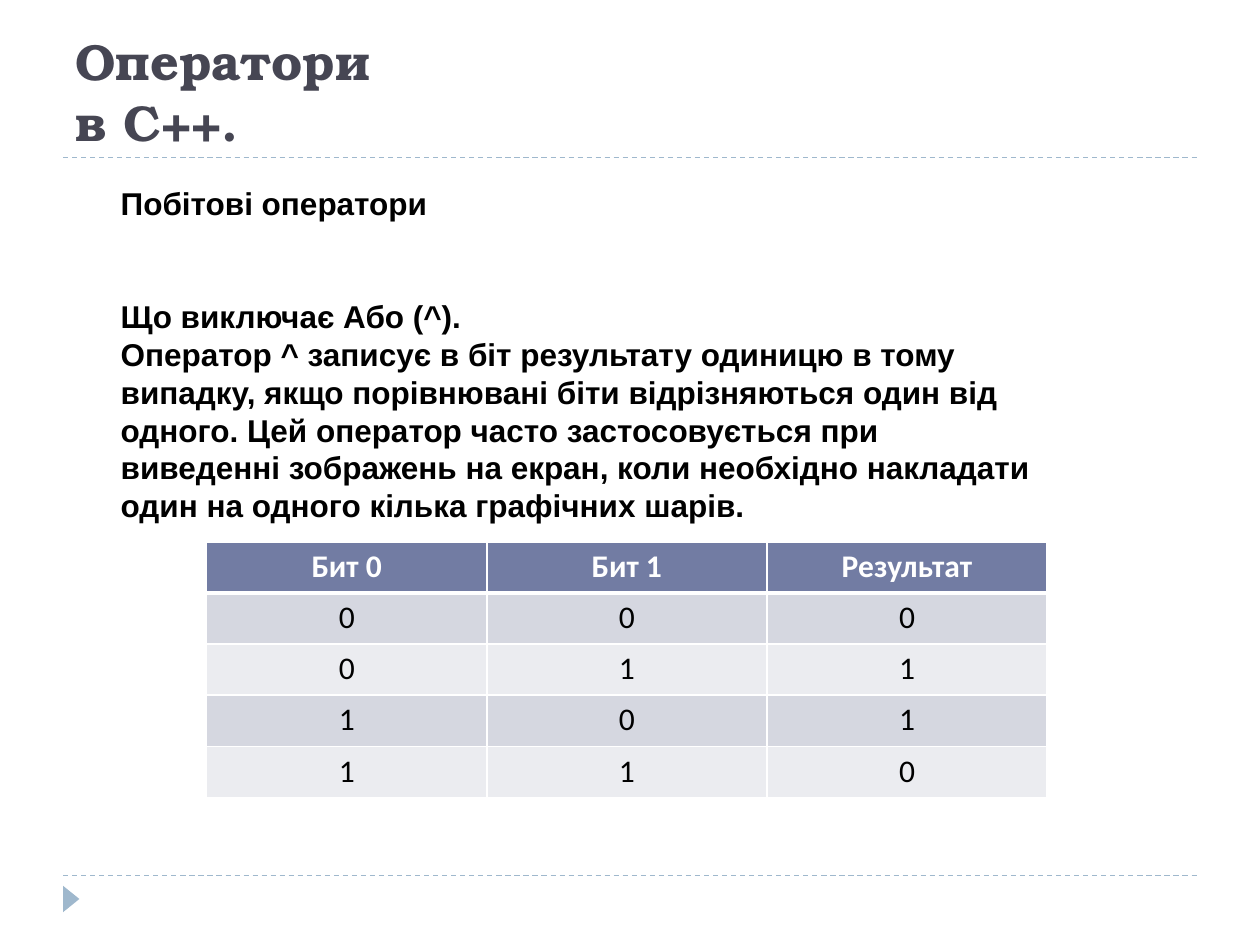
from lxml.etree import SubElement
from pptx import Presentation
from pptx.dml.color import RGBColor
from pptx.enum.dml import MSO_LINE
from pptx.enum.shapes import MSO_CONNECTOR, MSO_SHAPE
from pptx.enum.text import MSO_ANCHOR, MSO_AUTO_SIZE, PP_ALIGN
from pptx.oxml.ns import qn
from pptx.util import Inches, Pt


def color(value):
    """Turn a hex string into a colour."""
    return RGBColor.from_string(value)


def assign(target, values):
    """Set the attributes of an object from a dict."""
    for name, value in values.items():
        setattr(target, name, value)


class SlideBuilder:
    """Hold the style and the current slide."""

    accent = "9FB8CD"
    header_fill = "727CA3"
    bands = ("D5D7E0", "EBECF0")

    def __init__(self, deck):
        """Start a slide with a title."""
        self.slide = deck.slides.add_slide(deck.slide_layouts[5])
        self.shapes = self.slide.shapes

    def place(self, shape, left, top, width, height):
        """Move and size a shape."""
        assign(shape, {"left": Inches(left), "top": Inches(top),
                       "width": Inches(width), "height": Inches(height)})

    def fill_para(self, para, text, font, size, hue, bold=True, **layout):
        """Fill a paragraph with formatted text."""
        para.text = text
        assign(para, layout)
        for span in para.runs:
            assign(span.font, {"name": font, "size": Pt(size), "bold": bold})
            span.font.color.rgb = color(hue)

    def title(self, text, *area):
        """Format the title placeholder."""
        box = self.shapes.title
        self.place(box, *area)
        assign(box.text_frame, {"vertical_anchor": MSO_ANCHOR.BOTTOM, "word_wrap": True,
                                "auto_size": MSO_AUTO_SIZE.NONE})
        self.fill_para(box.text_frame.paragraphs[0], text, "TeX Gyre Bonum", 28.8, "464653",
                       alignment=PP_ALIGN.LEFT)

    def rule(self, top):
        """Draw a dashed line across the page."""
        line = self.shapes.add_connector(MSO_CONNECTOR.STRAIGHT, Inches(0.5), Inches(top),
                                         Inches(9.5), Inches(top))
        assign(line.line, {"width": Pt(0.75), "dash_style": MSO_LINE.DASH})
        line.line.color.rgb = color(self.accent)
        SubElement(line._element.spPr, qn("a:effectLst"))

    def marker(self, *area):
        """Draw a triangle that points right."""
        shape = self.shapes.add_shape(MSO_SHAPE.ISOSCELES_TRIANGLE, 0, 0, 0, 0)
        self.place(shape, *area)
        shape.rotation = 90
        shape.shadow.inherit = False
        shape.fill.solid()
        shape.fill.fore_color.rgb = color(self.accent)
        shape.line.fill.background()

    def text(self, entries, *area):
        """Add a text box from pairs of text and space before."""
        box = self.shapes.add_textbox(0, 0, 0, 0)
        self.place(box, *area)
        frame = box.text_frame
        frame.word_wrap = True
        for index, (entry, gap) in enumerate(entries):
            para = frame.add_paragraph() if index else frame.paragraphs[0]
            self.fill_para(para, entry, "Arial", 18, "000000",
                           space_before=Pt(gap), line_spacing=Pt(21.6))

    def border(self, cell, top, bottom):
        """Give a cell white borders, with its own top and bottom widths."""
        properties = cell._tc.get_or_add_tcPr()
        widths = {"a:lnL": 1, "a:lnR": 1, "a:lnT": top, "a:lnB": bottom}
        for index, (tag, width) in enumerate(widths.items()):
            line = SubElement(properties, qn(tag), w=str(Pt(width)))
            fill = SubElement(line, qn("a:solidFill"))
            SubElement(fill, qn("a:srgbClr"), val="FFFFFF")
            properties.insert(index, line)

    def table(self, rows, left, top, width, height):
        """Add a table with a header row and banded rows."""
        frame = self.shapes.add_table(len(rows), len(rows[0]), Inches(left), Inches(top),
                                      Inches(width), Inches(height))
        for r, values in enumerate(rows):
            header = r == 0
            for c, value in enumerate(values):
                cell = frame.table.cell(r, c)
                assign(cell, {"margin_left": Inches(0.07), "margin_right": Inches(0.07),
                              "margin_top": 0, "margin_bottom": 0})
                cell.fill.solid()
                cell.fill.fore_color.rgb = color(
                    self.header_fill if header else self.bands[(r - 1) % 2])
                self.border(cell, 3 if r == 1 else 1, 3 if header else 1)
                self.fill_para(cell.text_frame.paragraphs[0], value, "Calibri", 18,
                               "FFFFFF" if header else "000000", header,
                               alignment=PP_ALIGN.CENTER, line_spacing=1.15,
                               space_after=Pt(10))


deck = Presentation()
assign(deck, {"slide_width": Inches(10), "slide_height": Inches(7.5)})
page = SlideBuilder(deck)

for rule_top in (6.95, 1.25):
    page.rule(rule_top)
page.marker(0.46, 7.07, 0.21, 0.13)
page.title("Оператори\vв C++.", 0.5, 0.25, 9, 1)
page.text([
    ("Побітові оператори", 0),
    ("Що виключає Або (^).", 43.2),
    ("Оператор ^ записує в біт результату одиницю в тому випадку, якщо порівнювані біти "
     "відрізняються один від одного. Цей оператор часто застосовується при виведенні "
     "зображень на екран, коли необхідно накладати один на одного кілька графічних шарів.", 0),
], 0.86, 1.41, 7.5, 2.83)

truth_rows = [[str(a), str(b), str(a ^ b)] for a in (0, 1) for b in (0, 1)]
page.table([["Бит 0", "Бит 1", "Результат"]] + truth_rows, 1.64, 4.3, 6.67, 2.03)

deck.save("out.pptx")
